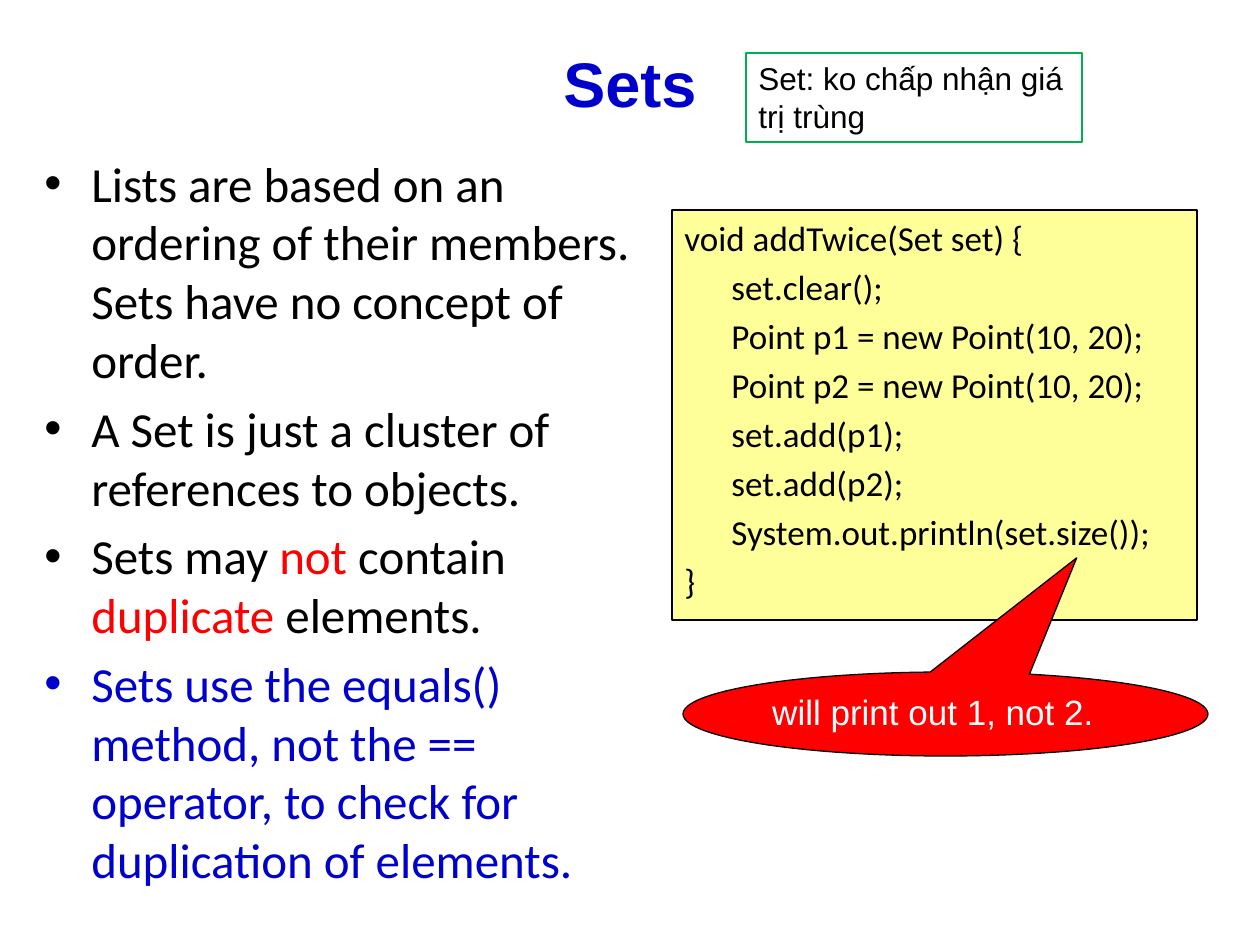
"""Builds the slide on Java sets with python-pptx."""
import pptx
import pptx.dml.color
import pptx.enum.shapes
import pptx.enum.text
import pptx.util
from lxml import etree

RGBColor = pptx.dml.color.RGBColor
Shape = pptx.enum.shapes.MSO_SHAPE
Align = pptx.enum.text.PP_ALIGN
Anchor = pptx.enum.text.MSO_ANCHOR

BLACK = RGBColor(0, 0, 0)
WHITE = RGBColor(255, 255, 255)
BLUE = RGBColor(0, 0, 204)
RED = RGBColor(255, 0, 0)
YELLOW = RGBColor(255, 255, 153)
GREEN = RGBColor(0, 176, 80)

PX_PER_INCH = 126
INDENT = 47

BULLETS = [
    (BLACK, [("Lists are based on an ordering of their members. "
              "Sets have no concept of order.", BLACK)]),
    (BLACK, [("A Set is just a cluster of references to objects.", BLACK)]),
    (BLACK, [("Sets may ", BLACK), ("not", RED), (" contain ", BLACK),
             ("duplicate", RED), (" elements.", BLACK)]),
    (BLUE, [("Sets use the equals() method, not the == operator, "
             "to check for duplication of elements.", BLUE)]),
]

CODE = [
    "void addTwice(Set set) {",
    "\tset.clear();",
    "\tPoint p1 = new Point(10, 20);",
    "\tPoint p2 = new Point(10, 20);",
    "\tset.add(p1);",
    "\tset.add(p2);",
    "\tSystem.out.println(set.size());",
    "}",
]


def px(length):
    """Turn pixels into EMU."""
    return pptx.util.Emu(round(length * 914400 / PX_PER_INCH))


def style(para, size, font, color, bold=False):
    """Set the font of a whole paragraph."""
    para.font.size = pptx.util.Pt(size)
    para.font.name = font
    para.font.color.rgb = color
    para.font.bold = bold


def hang(para, size, bullet=None):
    """Give a paragraph a hanging indent, space before and maybe a bullet."""
    para.space_before = pptx.util.Pt(size * 0.2)
    properties = para._p.get_or_add_pPr()
    properties.set("marL", str(px(INDENT)))
    properties.set("indent", str(-px(INDENT)))
    if bullet:
        tag = pptx.oxml.ns.qn
        mark = etree.Element(tag("a:buFont"), typeface="Arial")
        sign = etree.Element(tag("a:buChar"), char=bullet)
        spacing = properties.find(tag("a:spcBef"))
        spacing.addnext(mark)
        mark.addnext(sign)


def add_text_box(page, left, top, width, height, anchor=Anchor.TOP):
    """Add a wrapping text box and return its frame."""
    box = page.shapes.add_textbox(px(left), px(top), px(width), px(height))
    box.text_frame.word_wrap = True
    box.text_frame.vertical_anchor = anchor
    return box.text_frame


def add_panel(page, kind, place, fill, line, lines, size, font, color):
    """Add an outlined shape holding left-aligned lines of text."""
    panel = page.shapes.add_shape(kind, *map(px, place))
    panel.shadow.inherit = False
    if fill is None:
        panel.fill.background()
    else:
        panel.fill.solid()
        panel.fill.fore_color.rgb = fill
    panel.line.color.rgb = line
    panel.line.width = pptx.util.Pt(0.75)
    frame = panel.text_frame
    frame.word_wrap = True
    frame.vertical_anchor = Anchor.TOP
    frame.text = "\n".join(lines)
    for para in frame.paragraphs:
        para.alignment = Align.LEFT
        style(para, size, font, color)
    return panel


def add_title(page, text):
    """Add the centred title."""
    para = add_text_box(page, 63, 38, 1134, 88, Anchor.MIDDLE).paragraphs[0]
    para.text = text
    para.alignment = Align.CENTER
    style(para, 36, "Arial", BLUE, bold=True)


def add_bullets(page, bullets, size):
    """Add the bulleted list with its coloured words."""
    frame = add_text_box(page, 32, 147, 630, 640)
    for index, (base, spans) in enumerate(bullets):
        para = frame.add_paragraph() if index else frame.paragraphs[0]
        hang(para, size, "•")
        style(para, size, "Calibri", base)
        for text, color in spans:
            span = para.add_run()
            span.text = text
            if color != base:
                span.font.color.rgb = color


def main():
    """Build and save the deck."""
    deck = pptx.Presentation()
    deck.slide_width, deck.slide_height = px(1260), px(945)
    page = deck.slides.add_slide(deck.slide_layouts[6])
    add_title(page, "Sets")
    add_bullets(page, BULLETS, 28)
    code = add_panel(page, Shape.RECTANGLE, (672, 210, 525, 410),
                     YELLOW, BLACK, CODE, 20, "Calibri", BLACK)
    for para in code.text_frame.paragraphs:
        hang(para, 20)
    callout = add_panel(page, Shape.OVAL_CALLOUT, (683, 672, 525, 84), RED, BLACK,
                        ["will print out 1, not 2."], 20, "Arial", WHITE)
    callout.adjustments[0] = 0.25
    callout.adjustments[1] = -1.86
    add_panel(page, Shape.RECTANGLE, (746, 53, 336, 89), None, GREEN,
              ["Set: ko chấp nhận giá trị trùng"], 18, "Arial", BLACK)
    deck.save("out.pptx")


if __name__ == "__main__":
    main()
